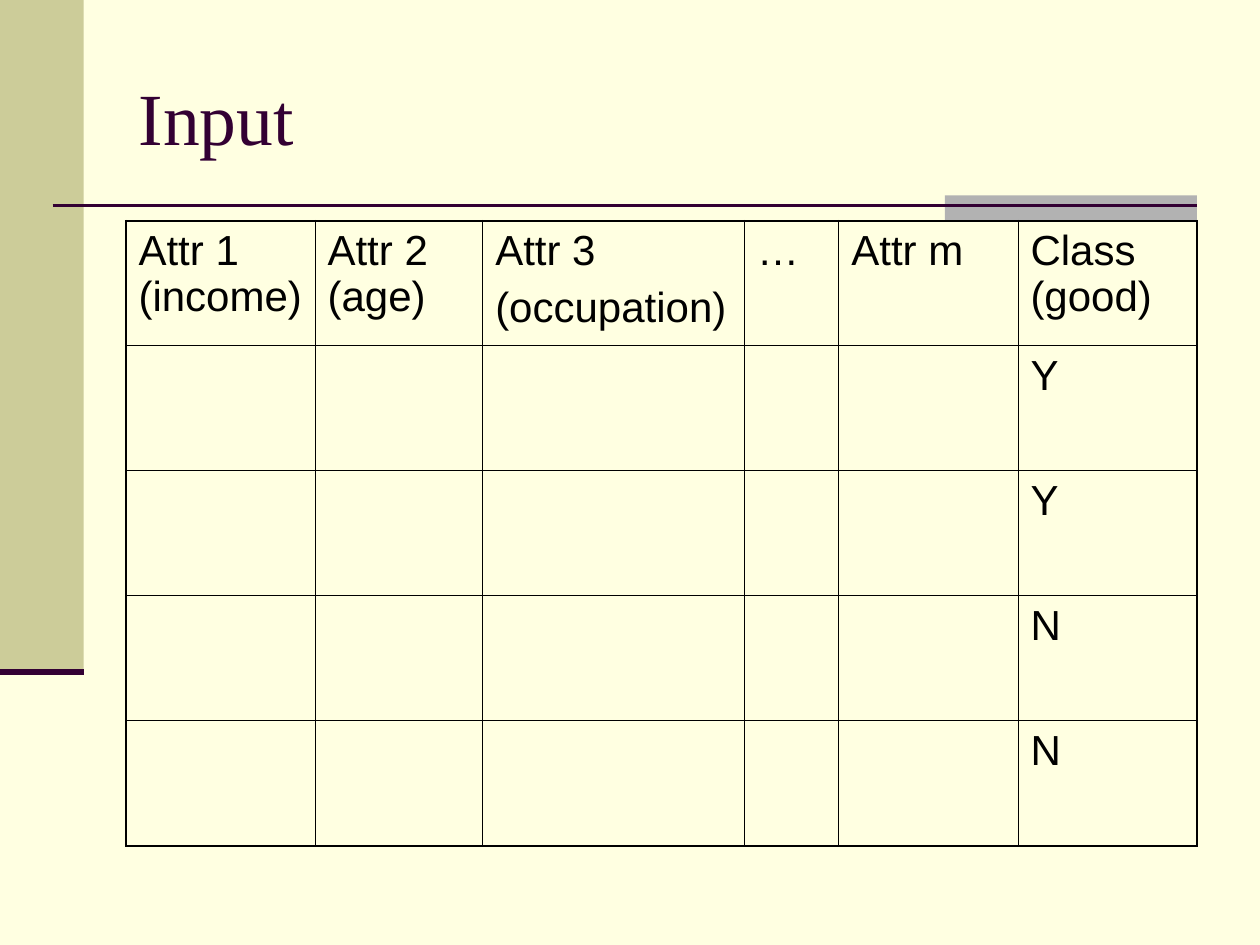
from dataclasses import dataclass

from lxml import etree
from pptx import Presentation
from pptx.dml.color import RGBColor
from pptx.enum.shapes import MSO_CONNECTOR, MSO_SHAPE
from pptx.enum.text import MSO_ANCHOR, PP_ALIGN
from pptx.oxml.ns import qn
from pptx.slide import Slide
from pptx.table import Table, _Cell
from pptx.util import Cm, Pt

RECTANGLE = MSO_SHAPE.RECTANGLE
STRAIGHT = MSO_CONNECTOR.STRAIGHT
MIDDLE = MSO_ANCHOR.MIDDLE
LEFT = PP_ALIGN.LEFT
TITLE_ONLY = 5


@dataclass(frozen=True)
class Theme:
    background: str = "FFFFE1"
    sidebar: str = "CCCC99"
    accent: str = "B2B2B2"
    plum: str = "330033"
    ink: str = "000000"
    title_font: str = "Times New Roman"
    body_font: str = "Arial"
    title_size: float = 42
    body_size: float = 24
    outer_border: float = 1.08
    inner_border: float = 0.45


@dataclass(frozen=True)
class Block:
    left: float
    top: float
    width: float
    height: float
    color: str


@dataclass(frozen=True)
class Rule:
    """A horizontal line, in centimetres, with its weight in points."""
    left: float
    right: float
    y: float
    weight: float


THEME = Theme()
BLOCKS = [
    Block(0, 0, 1.69, 13.55, THEME.sidebar),
    Block(19.05, 3.94, 5.08, 0.51, THEME.accent),
]
RULES = [Rule(1.06, 24.13, 4.14, 1.5), Rule(0, 1.69, 13.55, 3.5)]
COLUMN_WIDTHS = [3.81, 3.38, 5.28, 1.9, 3.61, 3.61]
ROW_HEIGHT = 2.52
HEADERS = ["Attr 1 (income)", "Attr 2 (age)", "Attr 3\n(occupation)",
           "…", "Attr m", "Class (good)"]
CLASSES = ["Y", "Y", "N", "N"]


def draw_block(page: Slide, block: Block) -> None:
    box = page.shapes.add_shape(RECTANGLE, Cm(block.left), Cm(block.top),
                                Cm(block.width), Cm(block.height))
    box.shadow.inherit = False
    box.fill.solid()
    box.fill.fore_color.rgb = RGBColor.from_string(block.color)
    box.line.fill.background()


def draw_rule(page: Slide, rule: Rule) -> None:
    line = page.shapes.add_connector(STRAIGHT, Cm(rule.left), Cm(rule.y),
                                     Cm(rule.right), Cm(rule.y))
    line.line.color.rgb = RGBColor.from_string(THEME.plum)
    line.line.width = Pt(rule.weight)
    etree.SubElement(line.element.spPr, qn("a:effectLst"))


def format_span(span, font: str, size: float, color: str) -> None:
    for name, value in {"name": font, "size": Pt(size)}.items():
        setattr(span.font, name, value)
    span.font.color.rgb = RGBColor.from_string(color)


def write_title(page: Slide, text: str) -> None:
    title = page.shapes.title
    place = {"left": Cm(2.54), "top": Cm(0.76),
             "width": Cm(21.59), "height": Cm(3.18)}
    for name, value in place.items():
        setattr(title, name, value)
    frame = title.text_frame
    frame.text = text
    frame.vertical_anchor = MIDDLE
    para = frame.paragraphs[0]
    para.alignment = LEFT
    format_span(para.runs[0], THEME.title_font, THEME.title_size, THEME.plum)


def write_cell(cell: _Cell, text: str) -> None:
    cell.text = text
    for para in cell.text_frame.paragraphs:
        para.space_before = Pt(6)
        for span in para.runs:
            format_span(span, THEME.body_font, THEME.body_size, THEME.ink)


def border_cell(cell: _Cell, outer_sides: dict[str, bool]) -> None:
    """Draw heavier lines on the sides that lie on the table's edge."""
    properties = cell._tc.get_or_add_tcPr()
    for side, is_outer in outer_sides.items():
        weight = THEME.outer_border if is_outer else THEME.inner_border
        line = etree.SubElement(properties, qn(f"a:ln{side}"), w=str(Pt(weight)))
        fill = etree.SubElement(line, qn("a:solidFill"))
        etree.SubElement(fill, qn("a:srgbClr"), val=THEME.ink)


def fill_table(table: Table, rows: list[list[str]]) -> None:
    last_row, last_column = len(rows) - 1, len(COLUMN_WIDTHS) - 1
    for column, width in zip(table.columns, COLUMN_WIDTHS):
        column.width = Cm(width)
    for r, texts in enumerate(rows):
        table.rows[r].height = Cm(ROW_HEIGHT)
        for c, text in enumerate(texts):
            cell = table.cell(r, c)
            if text:
                write_cell(cell, text)
            border_cell(cell, {"L": c == 0, "R": c == last_column,
                               "T": r == 0, "B": r == last_row})
            cell.fill.background()


def draw_table(page: Slide) -> None:
    blanks = [""] * (len(HEADERS) - 1)
    rows = [HEADERS] + [blanks + [label] for label in CLASSES]
    table = page.shapes.add_table(
        len(rows), len(HEADERS), Cm(2.54), Cm(4.45),
        Cm(sum(COLUMN_WIDTHS)), Cm(ROW_HEIGHT * len(rows))).table
    table.first_row = False
    table.horz_banding = False
    fill_table(table, rows)


def main() -> None:
    deck = Presentation()
    deck.slide_width, deck.slide_height = Cm(25.4), Cm(19.05)
    page = deck.slides.add_slide(deck.slide_layouts[TITLE_ONLY])
    page.background.fill.solid()
    page.background.fill.fore_color.rgb = RGBColor.from_string(THEME.background)
    for block in BLOCKS:
        draw_block(page, block)
    for rule in RULES:
        draw_rule(page, rule)
    write_title(page, "Input")
    title = page.shapes.title.element
    title.getparent().append(title)  # bring the title in front of the decoration
    draw_table(page)
    deck.save("out.pptx")


if __name__ == "__main__":
    main()
